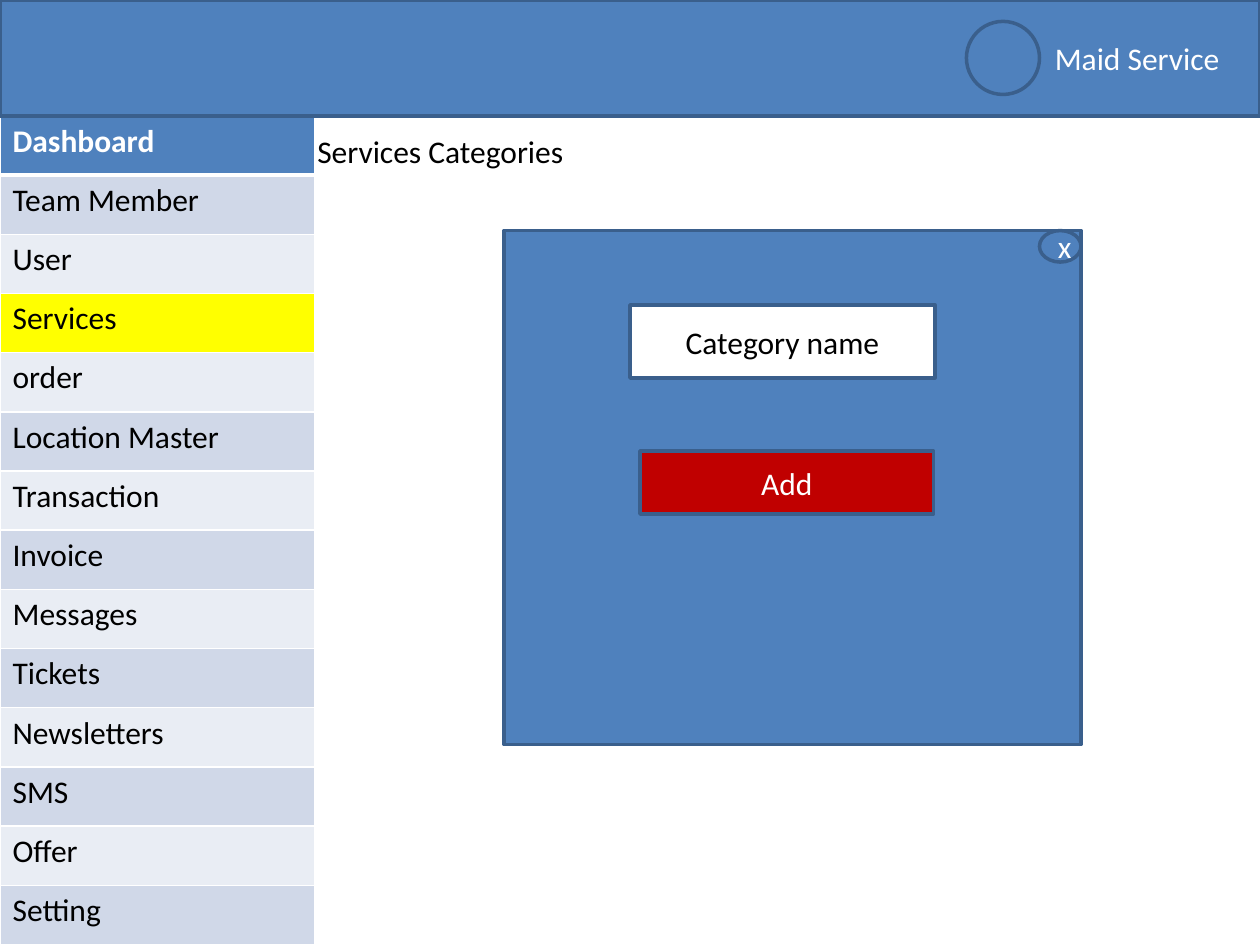
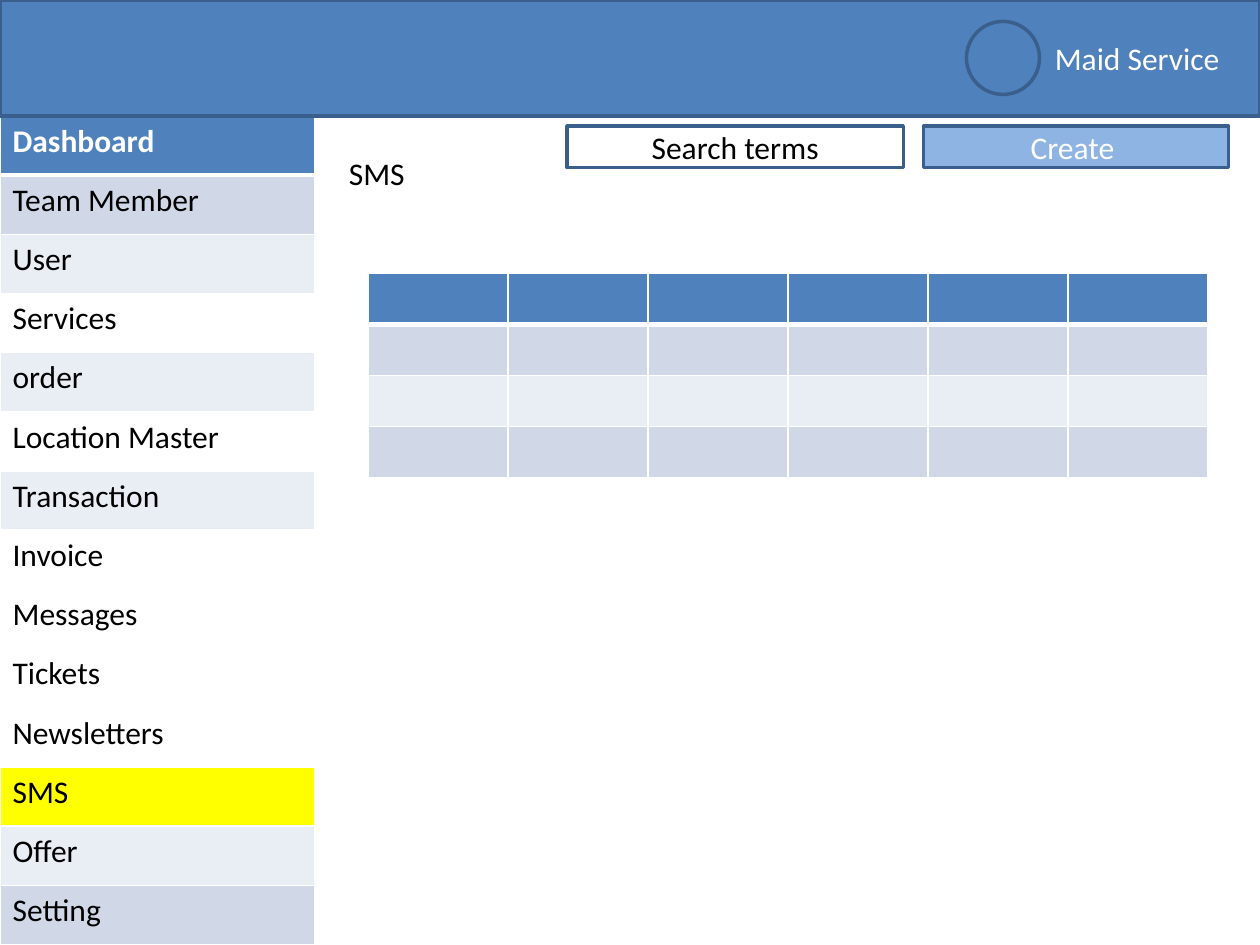
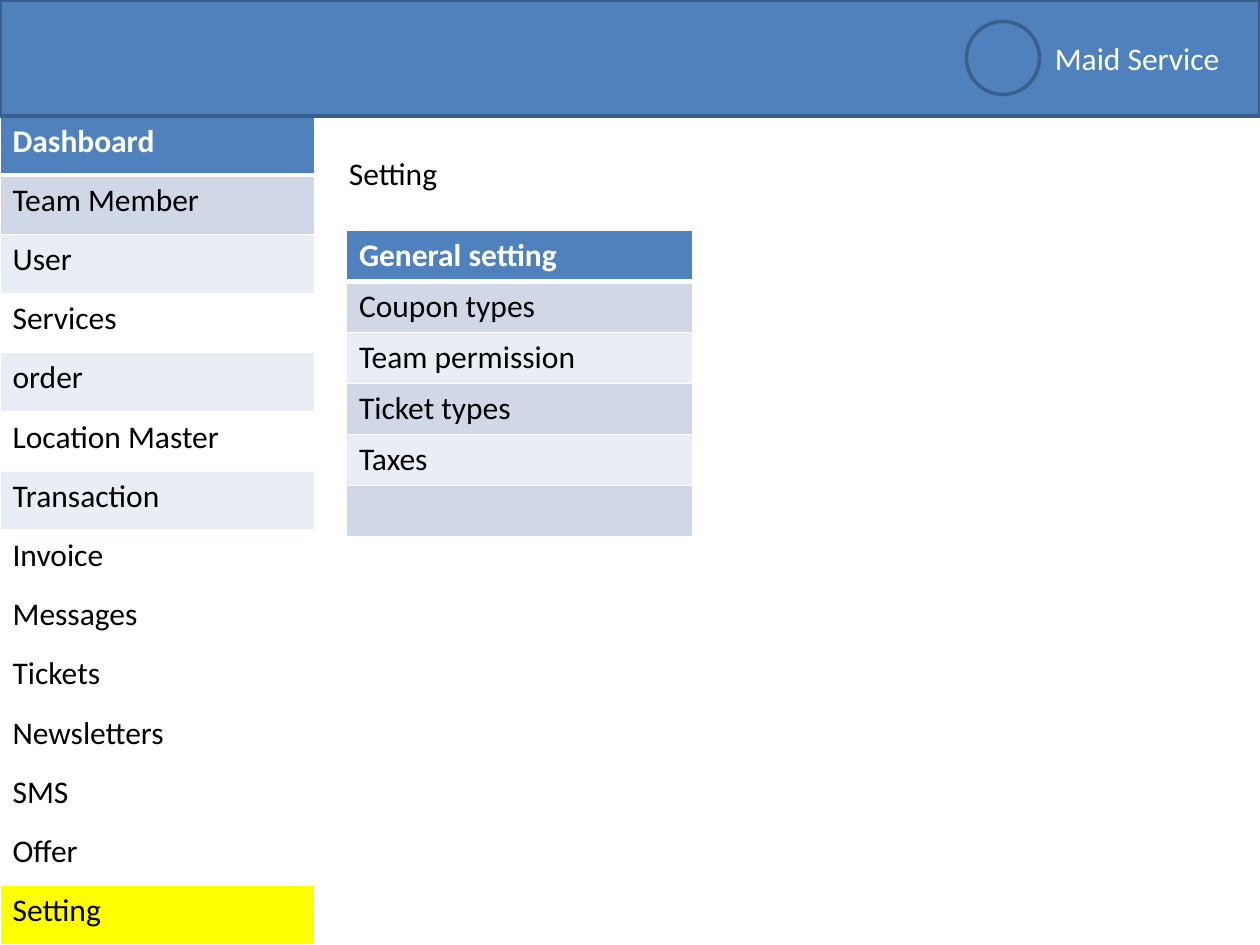
from lxml.etree import SubElement
from pptx import Presentation
from pptx.dml.color import RGBColor
from pptx.enum.shapes import MSO_SHAPE
from pptx.enum.text import MSO_ANCHOR, MSO_AUTO_SIZE, PP_ALIGN
from pptx.oxml.ns import qn
from pptx.util import Inches, Pt

MENU = ["Dashboard", "Team Member", "User", "Services ", "order",
        "Location Master", "Transaction", "Invoice", "Messages", "Tickets",
        "Newsletters", "SMS", "Offer", "Setting"]
PLAIN = {"Services ", "Location Master", "Invoice", "Messages", "Tickets",
         "Newsletters"}


def rgb(color):
    return RGBColor.from_string(color)


class Screen:
    FONT, SIZE = "Calibri", 18
    BLUE, EDGE, LIGHT = "4F81BD", "3A5F8C", "8EB4E3"
    WHITE, BLACK, RED, YELLOW = "FFFFFF", "000000", "C00000", "FFFF00"
    BANDS = ("E9EDF4", "D0D8E8")

    def __init__(self, prs):
        self.prs = prs

    def start(self, active, plain=()):
        self.s = self.prs.slides.add_slide(self.prs.slide_layouts[6])
        fills = {name: None for name in plain}
        fills[active] = self.YELLOW
        self.table(0, 0.92, 2.5, 6.58, [[name] for name in MENU], fills)
        band = self.shape(0, 0, 10, 0.92, self.BLUE, "Maid Service",
                          align=PP_ALIGN.RIGHT)
        band.text_frame.margin_right = Inches(0.32)
        self.shape(7.67, 0.17, 0.58, 0.58, self.BLUE, kind=MSO_SHAPE.OVAL)

    def add_text(self, tf, text, color, align=PP_ALIGN.LEFT, bold=False):
        p = tf.paragraphs[0]
        p.alignment = align
        r = p.add_run()
        r.text = text
        r.font.name = self.FONT
        r.font.size = Pt(self.SIZE)
        r.font.bold = bold
        r.font.color.rgb = rgb(color)

    def paint(self, fill, color):
        if color:
            fill.solid()
            fill.fore_color.rgb = rgb(color)
        else:
            fill.background()

    def shape(self, x, y, w, h, fill, text="", color=WHITE,
              kind=MSO_SHAPE.RECTANGLE, align=PP_ALIGN.CENTER):
        sp = self.s.shapes.add_shape(kind, Inches(x), Inches(y), Inches(w), Inches(h))
        sp.shadow.inherit = False
        self.paint(sp.fill, fill)
        sp.line.color.rgb = rgb(self.EDGE)
        sp.line.width = Pt(2)
        sp.text_frame.vertical_anchor = MSO_ANCHOR.MIDDLE
        if text:
            self.add_text(sp.text_frame, text, color, align)
        return sp

    def heading(self, x, y, w, text, wrap=False):
        sp = self.s.shapes.add_textbox(Inches(x), Inches(y), Inches(w), Inches(0.4))
        tf = sp.text_frame
        tf.word_wrap = wrap
        tf.auto_size = MSO_AUTO_SIZE.SHAPE_TO_FIT_TEXT
        self.add_text(tf, text, self.BLACK)

    def border(self, cell, edge, width):
        ln = SubElement(cell._tc.get_or_add_tcPr(), qn("a:ln" + edge), w=str(Pt(width)))
        fill = SubElement(ln, qn("a:solidFill"))
        SubElement(fill, qn("a:srgbClr"), val=self.WHITE)

    def table(self, x, y, w, h, rows, fills=None):
        fills = fills or {}
        n, m = len(rows), len(rows[0])
        tbl = self.s.shapes.add_table(n, m, Inches(x), Inches(y), Inches(w), Inches(h)).table
        for col in tbl.columns:
            col.width = Inches(w / m)
        for i, row in enumerate(rows):
            tbl.rows[i].height = Inches(h / n)
            for j, text in enumerate(row):
                cell = tbl.cell(i, j)
                for edge in "LRTB":
                    thick = (i, edge) in ((0, "B"), (1, "T"))
                    self.border(cell, edge, 3 if thick else 1)
                band = self.BANDS[i % 2] if i else self.BLUE
                self.paint(cell.fill, fills.get(text, band))
                if text:
                    self.add_text(cell.text_frame, text,
                                  self.BLACK if i else self.WHITE, bold=i == 0)


prs = Presentation()
prs.slide_width, prs.slide_height = Inches(10), Inches(7.5)
ui = Screen(prs)

ui.start("Services ")
ui.heading(2.42, 1, 2.67, "Services Categories", wrap=True)
ui.shape(4, 1.83, 4.58, 4.08, ui.BLUE)
ui.shape(5, 2.42, 2.42, 0.58, ui.WHITE, "Category name", ui.BLACK)
ui.shape(5.08, 3.58, 2.33, 0.5, ui.RED, "Add")
ui.shape(8.25, 1.83, 0.33, 0.25, ui.BLUE, "x", kind=MSO_SHAPE.OVAL)

ui.start("SMS", PLAIN)
ui.heading(2.67, 1.17, 0.65, "SMS")
ui.shape(7.33, 1, 2.42, 0.33, ui.LIGHT, "Create ")
ui.shape(4.5, 1, 2.67, 0.33, None, "Search terms", ui.BLACK)
ui.table(2.92, 2.17, 6.67, 1.62, [[""] * 6] * 4)

ui.start("Setting", PLAIN | {"SMS", "Offer"})
ui.heading(2.67, 1.17, 0.92, "Setting")
settings = ["General setting", "Coupon types", "Team permission",
            "Ticket types", "Taxes", ""]
ui.table(2.75, 1.83, 2.75, 2.43, [[name] for name in settings])

prs.save("out.pptx")
